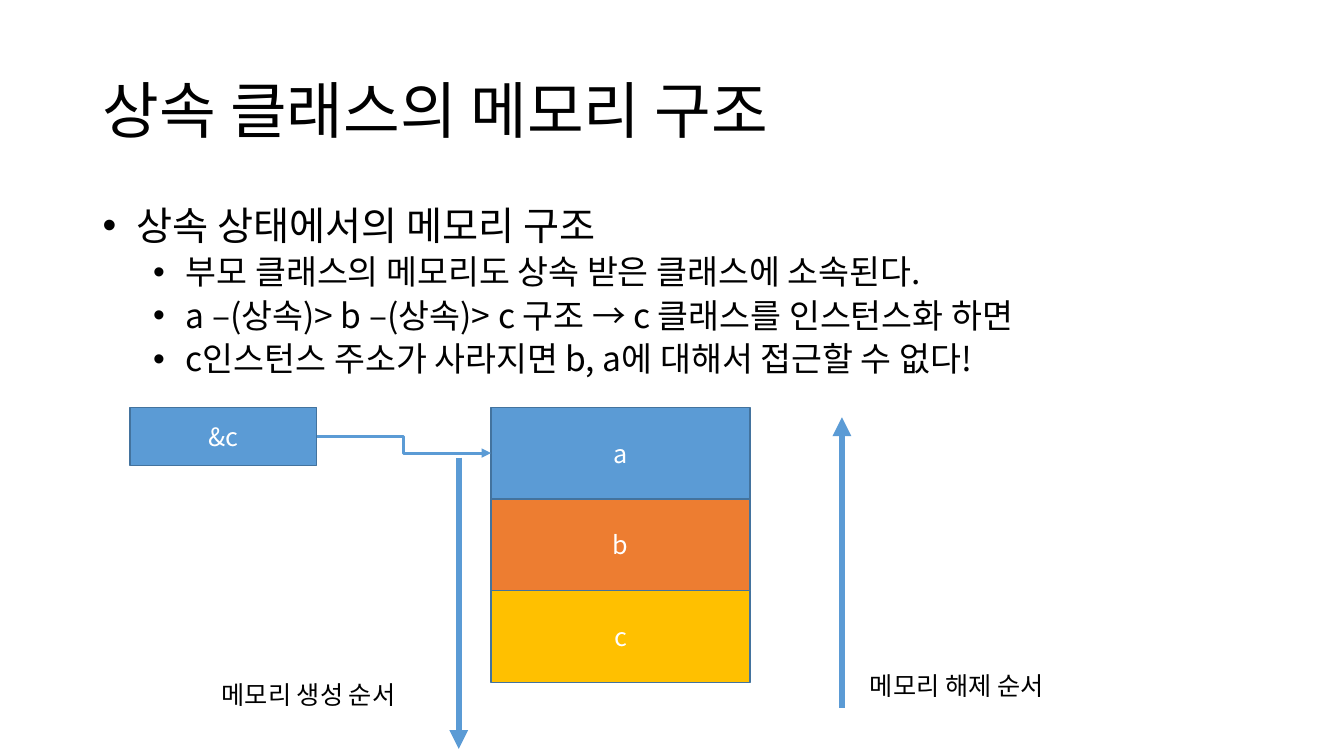
"""Build the slide on the memory layout of inherited classes."""
import pptx
import pptx.util
import pptx.dml.color
import pptx.enum.shapes
import pptx.enum.text
import pptx.oxml.ns
from lxml import etree

Inches, Pt = pptx.util.Inches, pptx.util.Pt
ALIGN, ANCHOR = pptx.enum.text.PP_ALIGN, pptx.enum.text.MSO_ANCHOR
CONNECTOR = pptx.enum.shapes.MSO_CONNECTOR
FONT = "Noto Sans CJK KR"
COLORS = {"text": "000000", "light": "FFFFFF", "blue": "5B9BD5",
          "orange": "ED7D31", "gold": "FFC000", "border": "43739E"}

TITLE = "상속 클래스의 메모리 구조"
POINTS = [
    (0, " 상속 상태에서의 메모리 구조"),
    (1, " 부모 클래스의 메모리도 상속 받은 클래스에 소속된다."),
    (1, " a –(상속)> b –(상속)> c 구조 → c 클래스를 인스턴스화 하면"),
    (1, " c인스턴스 주소가 사라지면 b, a에 대해서 접근할 수 없다!"),
]
POINT_LEVELS = [{"size": 28, "before": 10, "indent": 0.25},
                {"size": 24, "before": 5, "indent": 0.75}]
MEMORY = [("a", "blue"), ("b", "orange"), ("c", "gold")]
MEMORY_LEFT, MEMORY_TOP, MEMORY_WIDTH, MEMORY_HEIGHT = 4.87, 4.04, 2.57, 0.91
POINTER = ("&c", "blue", 1.29, MEMORY_TOP, 1.85, 0.58)
LABELS = [("메모리 생성 순서", 2.1, 6.69), ("메모리 해제 순서", 8.53, 6.6)]
ORDER_ARROWS = [(4.55, 4.54, 7.43), (8.35, 7.02, 4.14)]


def rgb(name):
    return pptx.dml.color.RGBColor.from_string(COLORS[name])


def add_xml(parent, tag, **attributes):
    return etree.SubElement(parent, pptx.oxml.ns.qn(tag), attributes)


def write(paragraph, text, size=18, color="text", align=ALIGN.LEFT,
          spacing=None, before=0, level=0, indent=None):
    paragraph.alignment = align
    paragraph.level = level
    paragraph.line_spacing = spacing
    paragraph.space_before = Pt(before)
    if indent is not None:
        properties = paragraph._p.get_or_add_pPr()
        properties.set("marL", str(Inches(indent)))
        properties.set("indent", str(Inches(-0.25)))
        add_xml(properties, "a:buFont", typeface="Arial")
        add_xml(properties, "a:buChar", char="•")
    run = paragraph.add_run()
    run.text = text
    run.font.size = Pt(size)
    run.font.name = FONT
    run.font.color.rgb = rgb(color)
    add_xml(run._r.get_or_add_rPr(), "a:ea", typeface=FONT)


def add_text_frame(left, top, width, height):
    frame = slide.shapes.add_textbox(*map(Inches, (left, top, width, height))).text_frame
    frame.word_wrap = True
    return frame


def add_cell(text, fill, left, top, width, height):
    cell = slide.shapes.add_shape(pptx.enum.shapes.MSO_SHAPE.RECTANGLE,
                                  *map(Inches, (left, top, width, height)))
    cell.shadow.inherit = False
    cell.fill.solid()
    cell.fill.fore_color.rgb = rgb(fill)
    cell.line.color.rgb = rgb("border")
    cell.line.width = Pt(1)
    cell.text_frame.vertical_anchor = ANCHOR.MIDDLE
    write(cell.text_frame.paragraphs[0], text, color="light", align=ALIGN.CENTER)
    return cell


def add_arrow(kind, start_x, start_y, end_x, end_y, weight):
    arrow = slide.shapes.add_connector(kind, *map(Inches, (start_x, start_y, end_x, end_y)))
    arrow.line.color.rgb = rgb("blue")
    arrow.line.width = Pt(weight)
    add_xml(arrow.line._get_or_add_ln(), "a:tailEnd", type="triangle")
    add_xml(arrow._element.spPr, "a:effectLst")
    return arrow


deck = pptx.Presentation()
deck.slide_width, deck.slide_height = Inches(13.33), Inches(7.5)
slide = deck.slides.add_slide(deck.slide_layouts[5])

title = slide.shapes.title
title.left, title.top, title.width, title.height = map(Inches, (0.92, 0.4, 11.5, 1.45))
title.text_frame.vertical_anchor = ANCHOR.MIDDLE
write(title.text_frame.paragraphs[0], TITLE, size=44, spacing=0.9)

points = add_text_frame(0.92, 2, 11.5, 1.94)
for index, (level, point) in enumerate(POINTS):
    paragraph = points.add_paragraph() if index else points.paragraphs[0]
    write(paragraph, point, level=level, spacing=0.9, **POINT_LEVELS[level])

memory_cells = [
    add_cell(name, fill, MEMORY_LEFT, MEMORY_TOP + row * MEMORY_HEIGHT,
             MEMORY_WIDTH, MEMORY_HEIGHT)
    for row, (name, fill) in enumerate(MEMORY)
]

for label, left, top in LABELS:
    write(add_text_frame(left, top, 2.15, 0.4).paragraphs[0], label)

for x, start, end in ORDER_ARROWS:
    add_arrow(CONNECTOR.STRAIGHT, x, start, x, end, 4.5)

pointer = add_cell(*POINTER)
reference = add_arrow(CONNECTOR.ELBOW, 3.13, 4.33, 4.87, 4.49, 2.25)
reference.begin_connect(pointer, 3)
reference.end_connect(memory_cells[0], 1)

deck.save("out.pptx")
